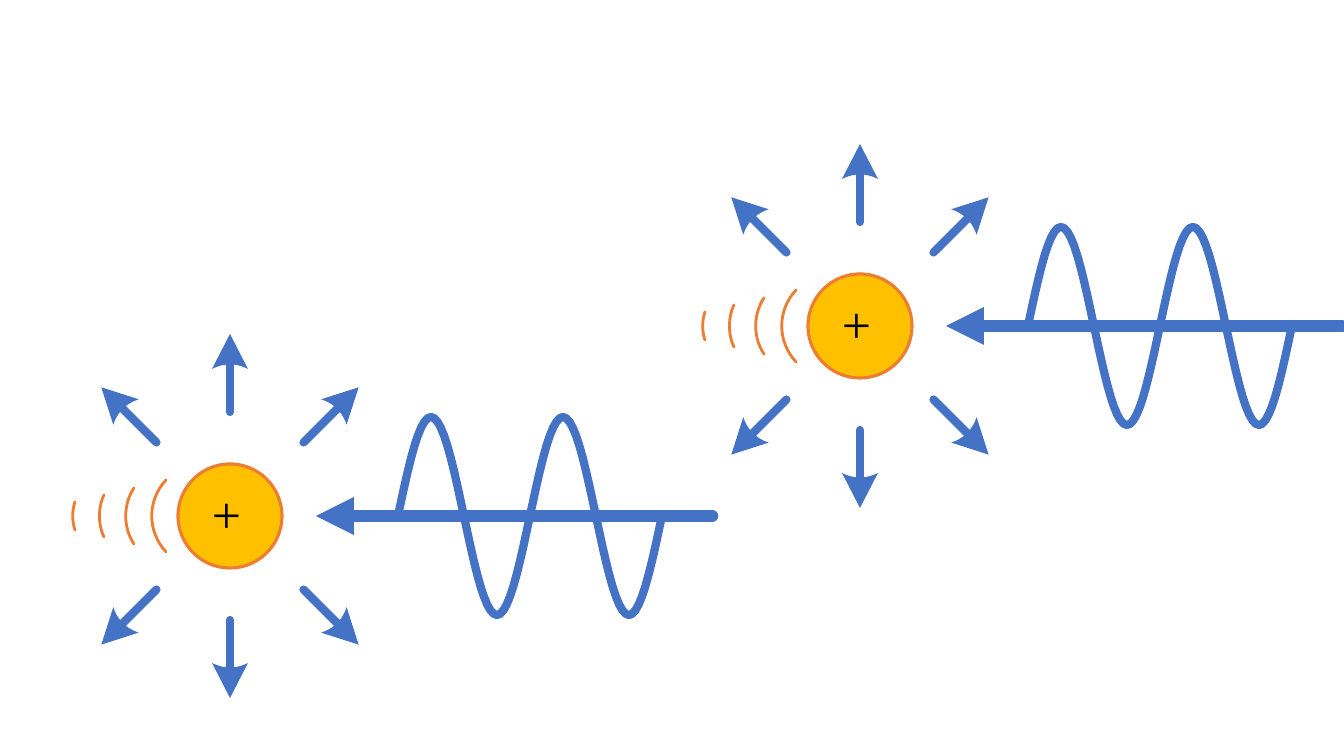
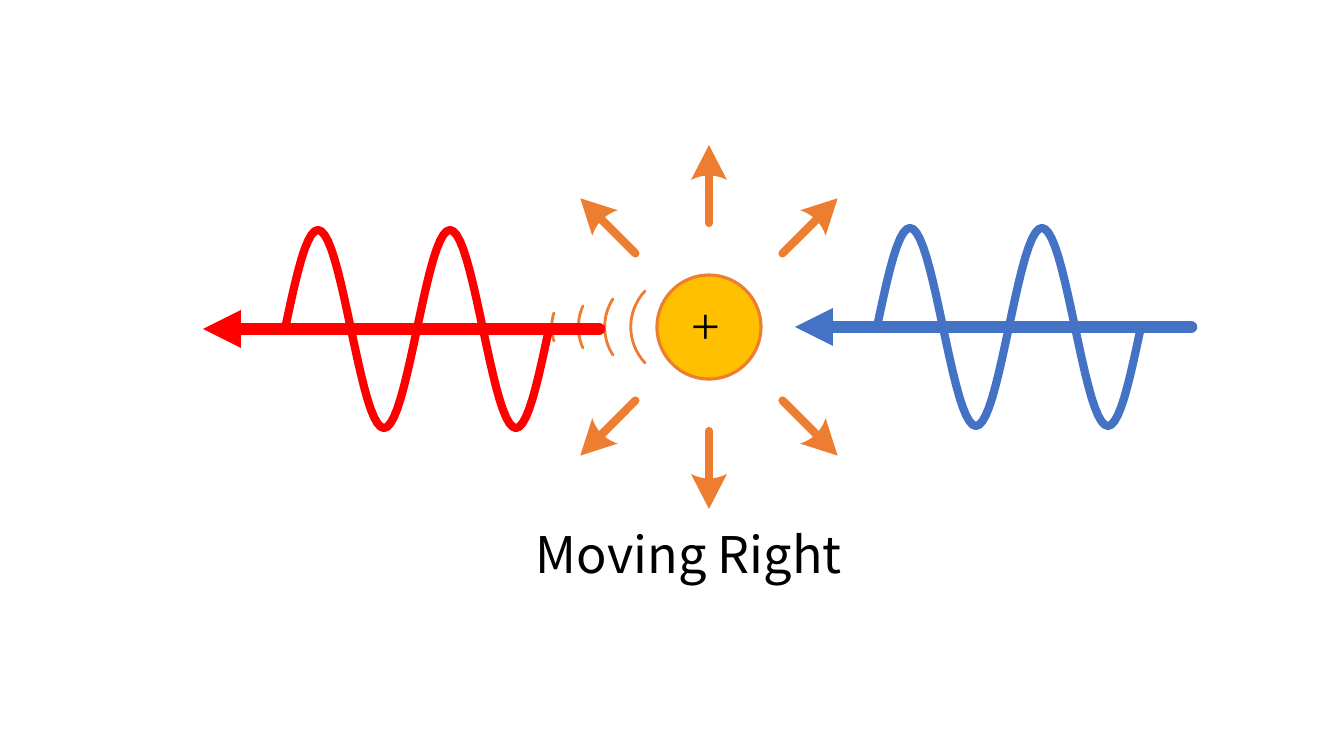
import math
from lxml import etree
from pptx import Presentation
from pptx import util as u
from pptx.dml.color import RGBColor
from pptx.enum import shapes as kinds, text
from pptx.oxml.ns import qn

# Shared look
WIDE, HIGH = 1344, 756
SCALE = u.Inches(7.5) / HIGH
BLUE, ORANGE, GOLD, RED, BLACK = "4472C4", "ED7D31", "FFC000", "FF0000", "000000"
SERIF, SANS = "Times New Roman", "Noto Sans CJK SC"
THIN, RIM, BOLD, HEAVY = 2, 2.25, 5.88, 9


def px(n):
    return round(n * SCALE)


def paint(color, hue):
    color.rgb = RGBColor.from_string(hue)


def stroke(shape, hue, width, head=False):
    """Solid line with round ends, and an arrowhead if asked."""
    shape.line.fill.solid()
    paint(shape.line.color, hue)
    shape.line.width = u.Pt(width)
    props = shape.element.spPr
    line = props.find(qn("a:ln"))
    line.set("cap", "rnd")
    etree.SubElement(line, qn("a:round"))
    if head:
        etree.SubElement(line, qn("a:tailEnd"), type="triangle")
    if props.find(qn("a:effectLst")) is None:
        etree.SubElement(props, qn("a:effectLst"))


def bar(group, start, end, hue, width, head=False):
    ends = [px(n) for n in (*start, *end)]
    line = group.add_connector(kinds.MSO_CONNECTOR.STRAIGHT, *ends)
    stroke(line, hue, width, head)


def outline(group, dots, closed=False):
    dots = [(px(x), px(y)) for x, y in dots]
    form = group.build_freeform(*dots[0])
    form.add_line_segments(dots[1:], close=closed)
    shape = form.convert_to_shape()
    shape.shadow.inherit = False
    return shape


def curve(a, b, c, d, steps=16):
    """Points along a cubic curve."""
    dots = []
    for i in range(steps + 1):
        t = i / steps
        parts = (1 - t) ** 3, 3 * t * (1 - t) ** 2, 3 * t * t * (1 - t), t ** 3
        dots.append([sum(k * p[n] for k, p in zip(parts, (a, b, c, d)))
                     for n in (0, 1)])
    return dots


def label(group, box, words, size, font, inset=None, wrap=True):
    area = group.add_textbox(*[px(n) for n in box])
    frame = area.text_frame
    frame.word_wrap = wrap
    frame.auto_size = text.MSO_AUTO_SIZE.SHAPE_TO_FIT_TEXT
    if inset is not None:
        frame.margin_left = frame.margin_right = inset
        frame.margin_top = frame.margin_bottom = inset
    run = frame.paragraphs[0].add_run()
    run.text = words
    run.font.size = u.Pt(size)
    run.font.name = font
    paint(run.font.color, BLACK)


# Motion arcs trailing the ion: distance, half height, depth
ARCS = [(155, 14, 3), (126, 21, 6), (96, 28, 11), (64, 36, 19)]


def trail(group, x, y):
    for gap, half, deep in ARCS:
        end, bulge, mid = x - gap, x - gap - deep, half * 0.42
        arc = outline(group, curve((end, y - half), (bulge, y - mid),
                                   (bulge, y + mid), (end, y + half)))
        arc.fill.background()
        stroke(arc, ORANGE, THIN)


def ion(group, x, y):
    r = 52
    ball = group.add_shape(kinds.MSO_SHAPE.OVAL, px(x - r), px(y - r),
                           px(2 * r), px(2 * r))
    ball.shadow.inherit = False
    ball.fill.solid()
    paint(ball.fill.fore_color, GOLD)
    stroke(ball, ORANGE, RIM)
    label(group, (x - 18, y - 34, 53, 62), "+", 37, SERIF, inset=0)


def burst(group, x, y, hue):
    """Six arrows pointing away from the ion."""
    for turn in (90, 270, 45, 225, 135, 315):
        cos, sin = math.cos(math.radians(turn)), math.sin(math.radians(turn))

        def spot(out, side=0):
            return x + out * cos - side * sin, y - out * sin - side * cos

        bar(group, spot(104), spot(156), hue, BOLD)
        notch = curve(spot(147, 18), spot(153, 6), spot(153, -6), spot(147, -18))
        tip = outline(group, [spot(182)] + notch, closed=True)
        tip.fill.solid()
        paint(tip.fill.fore_color, hue)
        tip.line.fill.background()


def photon(group, x, y, hue):
    """Two waves on an arrow whose tip is at x, y."""
    span, tall, steps = 264, 99, 80
    dots = [(x + 82 + span * i / steps,
             y - tall * math.sin(4 * math.pi * i / steps))
            for i in range(steps + 1)]
    wave = outline(group, dots)
    wave.fill.background()
    stroke(wave, hue, BOLD)
    bar(group, (x + 396, y), (x, y), hue, HEAVY, head=True)


def scene(group, x, y, hue):
    """Ion centred at x, y, hit by a photon from the right."""
    trail(group, x, y)
    ion(group, x, y)
    burst(group, x, y, hue)
    photon(group, x + 86, y, BLUE)


def board(deck):
    return deck.slides.add_slide(deck.slide_layouts[6]).shapes


def pair(deck):
    page = board(deck)
    for x, y in ((860, 326), (230, 516)):
        scene(page.add_group_shape().shapes, x, y, BLUE)


def shift(deck):
    group = board(deck).add_group_shape().shapes
    scene(group, 709, 327, ORANGE)
    photon(group, 203, 329, RED)
    label(group, (526, 518, 351, 72), "Moving Right", 36, SANS, wrap=False)


deck = Presentation()
deck.slide_width, deck.slide_height = px(WIDE), px(HIGH)
pair(deck)
shift(deck)
deck.save("out.pptx")
